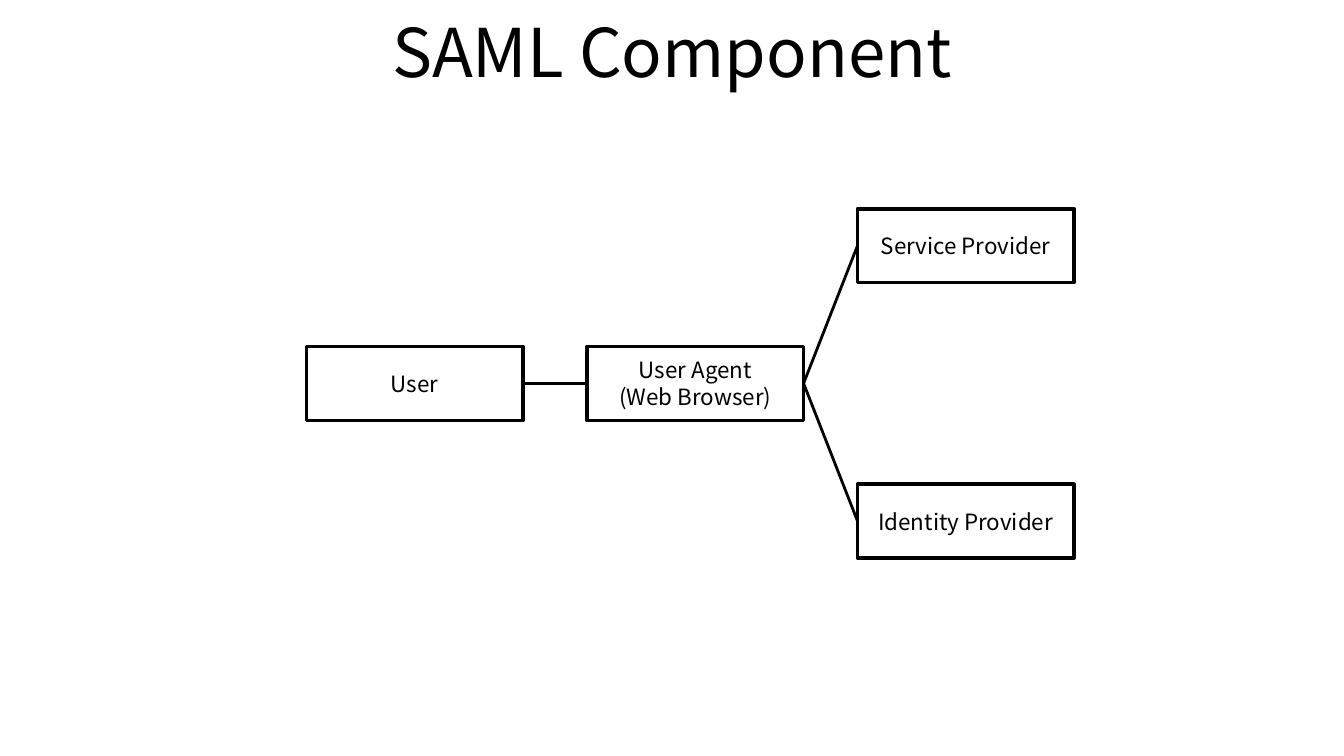
from pptx import Presentation
from pptx import util as u
from pptx.dml.color import RGBColor
from pptx.enum import shapes, text
from pptx.oxml.ns import qn
from lxml import etree

BLACK = RGBColor(0, 0, 0)
WHITE = RGBColor(255, 255, 255)


class Diagram:
    font = "Noto Sans CJK KR"
    box_width, box_height = 115.9, 39.6

    def __init__(self, slide):
        self.slide = slide

    def label(self, shape, words, size):
        frame = shape.text_frame
        frame.word_wrap = True
        frame.vertical_anchor = text.MSO_ANCHOR.MIDDLE
        frame.text = words
        for paragraph in frame.paragraphs:
            paragraph.alignment = text.PP_ALIGN.CENTER
            for run in paragraph.runs:
                run.font.name = self.font
                run.font.size = u.Pt(size)
                run.font.color.rgb = BLACK

    def title(self, words, left, top, width, height):
        heading = self.slide.shapes.add_textbox(
            u.Pt(left), u.Pt(top), u.Pt(width), u.Pt(height))
        self.label(heading, words, 36)

    def box(self, words, left, middle):
        box = self.slide.shapes.add_shape(
            shapes.MSO_SHAPE.ROUNDED_RECTANGLE,
            u.Pt(left), u.Pt(middle - self.box_height / 2),
            u.Pt(self.box_width), u.Pt(self.box_height))
        box.adjustments[0] = 0
        box.shadow.inherit = False
        box.fill.solid()
        box.fill.fore_color.rgb = WHITE
        box.line.color.rgb = BLACK
        box.line.width = u.Pt(2)
        frame = box.text_frame
        frame.margin_left = frame.margin_right = u.Pt(3.6)
        self.label(box, words, 12)
        return box

    def link(self, start, end):
        """Join the right side of one box to the left side of another."""
        line = self.slide.shapes.add_connector(
            shapes.MSO_CONNECTOR.STRAIGHT, 0, 0, 0, 0)
        line.begin_connect(start, 3)
        line.end_connect(end, 1)
        line.line.color.rgb = BLACK
        line.line.width = u.Pt(1.5)
        etree.SubElement(line._element.spPr, qn("a:effectLst"))


deck = Presentation()
deck.slide_width, deck.slide_height = u.Pt(720), u.Pt(405)
diagram = Diagram(deck.slides.add_slide(deck.slide_layouts[6]))

# Title
diagram.title("SAML Component", 36, -1.4, 648, 56.9)

# Boxes: one middle row, providers equally far above and below it
MIDDLE, RISE = 205.4, 73.8
PROVIDER_LEFT = 459.4
user = diagram.box("User", 164.2, MIDDLE)
user_agent = diagram.box("User Agent\n(Web Browser)", 314.6, MIDDLE)
service_provider = diagram.box("Service Provider", PROVIDER_LEFT, MIDDLE - RISE)
identity_provider = diagram.box("Identity Provider", PROVIDER_LEFT, MIDDLE + RISE)

# Links
diagram.link(user, user_agent)
for provider in (service_provider, identity_provider):
    diagram.link(user_agent, provider)

deck.save("out.pptx")
